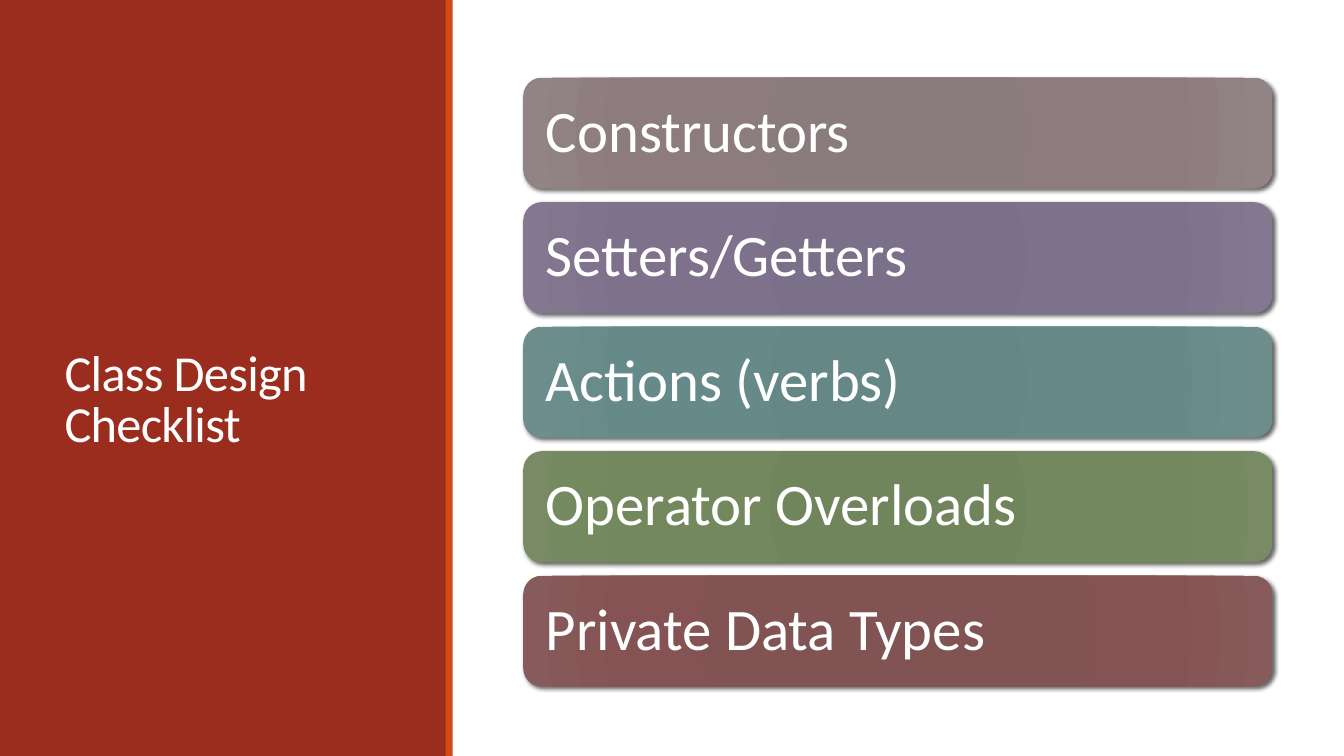
import pptx
import pptx.util
import pptx.dml.color
import pptx.enum.shapes
import pptx.enum.text
import pptx.oxml
import pptx.oxml.ns

HUES = {
    "page": "FFFFFF",
    "panel": "9B2D1F",
    "stripe": "D34817",
    "text": "FFFFFF",
    "shade": "000000",
    "taupe": ["89797A", "8A7B7C", "8C7C7D", "928384"],
    "plum": ["7A6E88", "7B7089", "7D718B", "837890"],
    "teal": ["638786", "658886", "668A89", "6E8E8D"],
    "moss": ["70845A", "71855C", "73885C", "788B64"],
    "wine": ["825151", "825353", "855353", "875B5B"],
}
STOPS = [0, 34, 70, 100]
CARDS = [
    ("Constructors", "taupe"),
    ("Setters/Getters", "plum"),
    ("Actions (verbs)", "teal"),
    ("Operator Overloads", "moss"),
    ("Private Data Types", "wine"),
]


class Deck:
    """Draws styled parts on one slide, placed on a grid of 100 columns by 100 rows."""

    font = "Calibri"

    def __init__(self):
        self.show = pptx.Presentation()
        self.show.slide_width = pptx.util.Inches(13.33)
        self.show.slide_height = pptx.util.Inches(7.5)
        self.slide = self.show.slides.add_slide(self.show.slide_layouts[5])
        self.paint(self.slide.background.fill, "page")

    def place(self, col, row, wide, high):
        across = self.show.slide_width / 100
        down = self.show.slide_height / 100
        return [round(n) for n in (col * across, row * down, wide * across, high * down)]

    def paint(self, fill, hue):
        fill.solid()
        fill.fore_color.rgb = pptx.dml.color.RGBColor.from_string(HUES[hue])

    def shape(self, kind, area):
        item = self.slide.shapes.add_shape(kind, *self.place(*area))
        item.shadow.inherit = False
        item.line.fill.background()
        return item

    def bar(self, area, hue):
        item = self.shape(pptx.enum.shapes.MSO_SHAPE.RECTANGLE, area)
        self.paint(item.fill, hue)

    def label(self, frame, text, size, lead):
        frame.word_wrap = True
        frame.auto_size = pptx.enum.text.MSO_AUTO_SIZE.NONE
        frame.vertical_anchor = pptx.enum.text.MSO_ANCHOR.MIDDLE
        para = frame.paragraphs[0]
        para.alignment = pptx.enum.text.PP_ALIGN.LEFT
        para.line_spacing = lead
        run = para.add_run()
        run.text = text
        run.font.name = self.font
        run.font.size = pptx.util.Pt(size)
        self.paint(run.font.fill, "text")

    def title(self, area, text):
        item = self.slide.shapes.title
        item.left, item.top, item.width, item.height = self.place(*area)
        item.element.getparent().append(item.element)
        self.label(item.text_frame, text, 36, 0.85)
        item.text_frame.margin_top = pptx.util.Inches(0.57)
        for props in item.element.iter(pptx.oxml.ns.qn("a:rPr")):
            props.set("spc", "-50")

    def blend(self, item, hue):
        item.fill.background()
        stops = "".join(
            f'<a:gs pos="{stop * 1000}"><a:srgbClr val="{tone}"/></a:gs>'
            for stop, tone in zip(STOPS, HUES[hue])
        )
        grad = pptx.oxml.parse_xml(
            f'<a:gradFill {pptx.oxml.ns.nsdecls("a")} rotWithShape="1"><a:gsLst>{stops}</a:gsLst>'
            '<a:path path="circle"><a:fillToRect l="100000" t="100000" r="100000" b="100000"/>'
            "</a:path></a:gradFill>"
        )
        props = item.element.spPr
        props.replace(props.find(pptx.oxml.ns.qn("a:noFill")), grad)

    def shade(self, item):
        blur, gap = pptx.util.Pt(3), pptx.util.Pt(2)
        drop = pptx.oxml.parse_xml(
            f'<a:outerShdw {pptx.oxml.ns.nsdecls("a")} blurRad="{blur}" dist="{gap}" '
            f'dir="2700000" algn="ctr" rotWithShape="0"><a:srgbClr val="{HUES["shade"]}">'
            '<a:alpha val="60000"/></a:srgbClr></a:outerShdw>'
        )
        item.element.spPr.find(pptx.oxml.ns.qn("a:effectLst")).append(drop)

    def card(self, area, text, hue):
        item = self.shape(pptx.enum.shapes.MSO_SHAPE.ROUNDED_RECTANGLE, area)
        self.blend(item, hue)
        self.shade(item)
        frame = item.text_frame
        frame.margin_left = frame.margin_right = pptx.util.Inches(0.17)
        frame.margin_top = frame.margin_bottom = pptx.util.Inches(0.17)
        self.label(frame, text, 42, 0.9)


def main():
    deck = Deck()
    deck.bar((0, 0, 33.23, 100), "panel")
    deck.title((4.05, 7.6, 25.28, 84.13), "Class Design Checklist")
    deck.bar((33.15, 0, 0.53, 100), "stripe")
    for rank, (text, hue) in enumerate(CARDS):
        deck.card((38.93, 10.27 + rank * 16.47, 55.74, 14.67), text, hue)
    deck.show.save("out.pptx")


if __name__ == "__main__":
    main()
